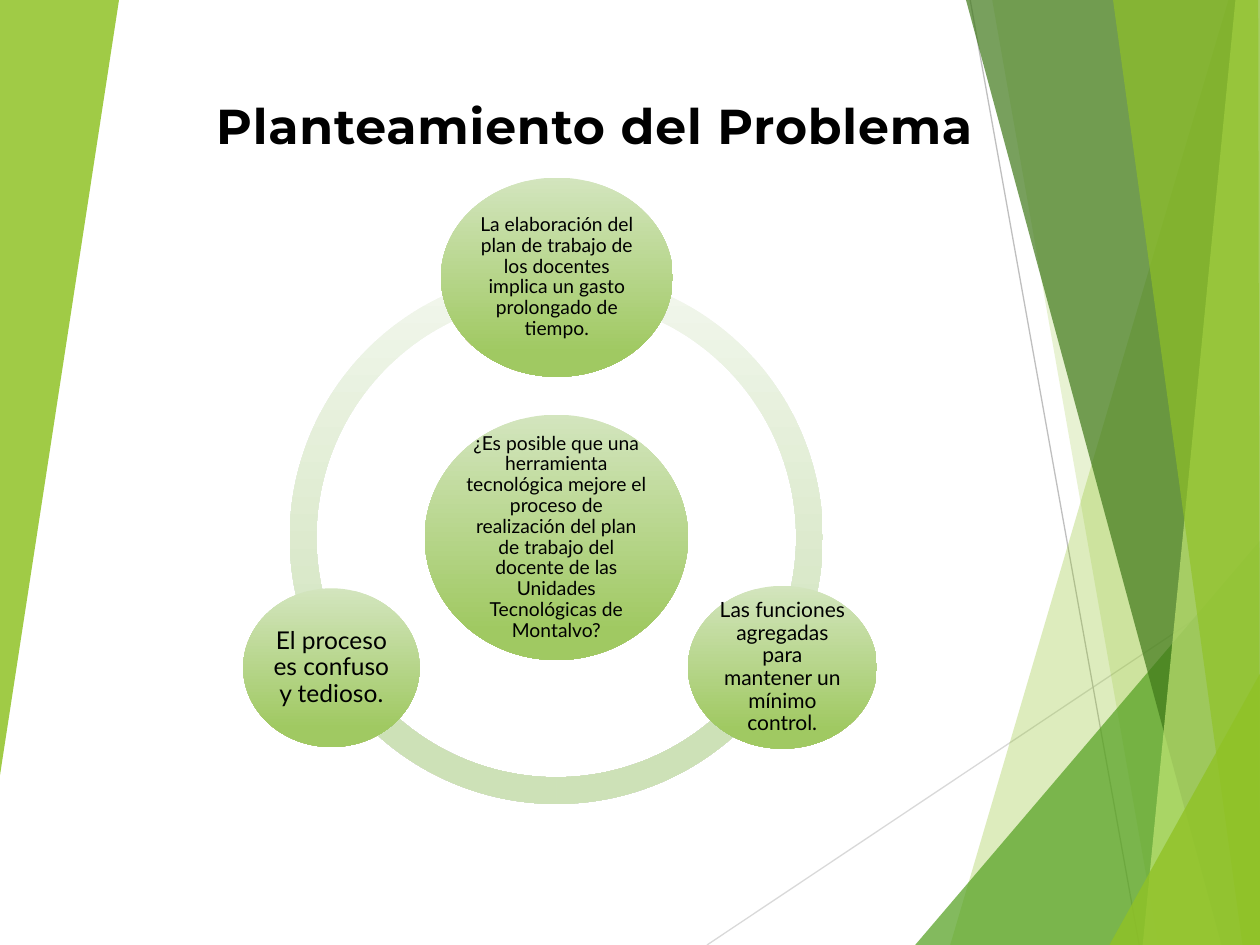
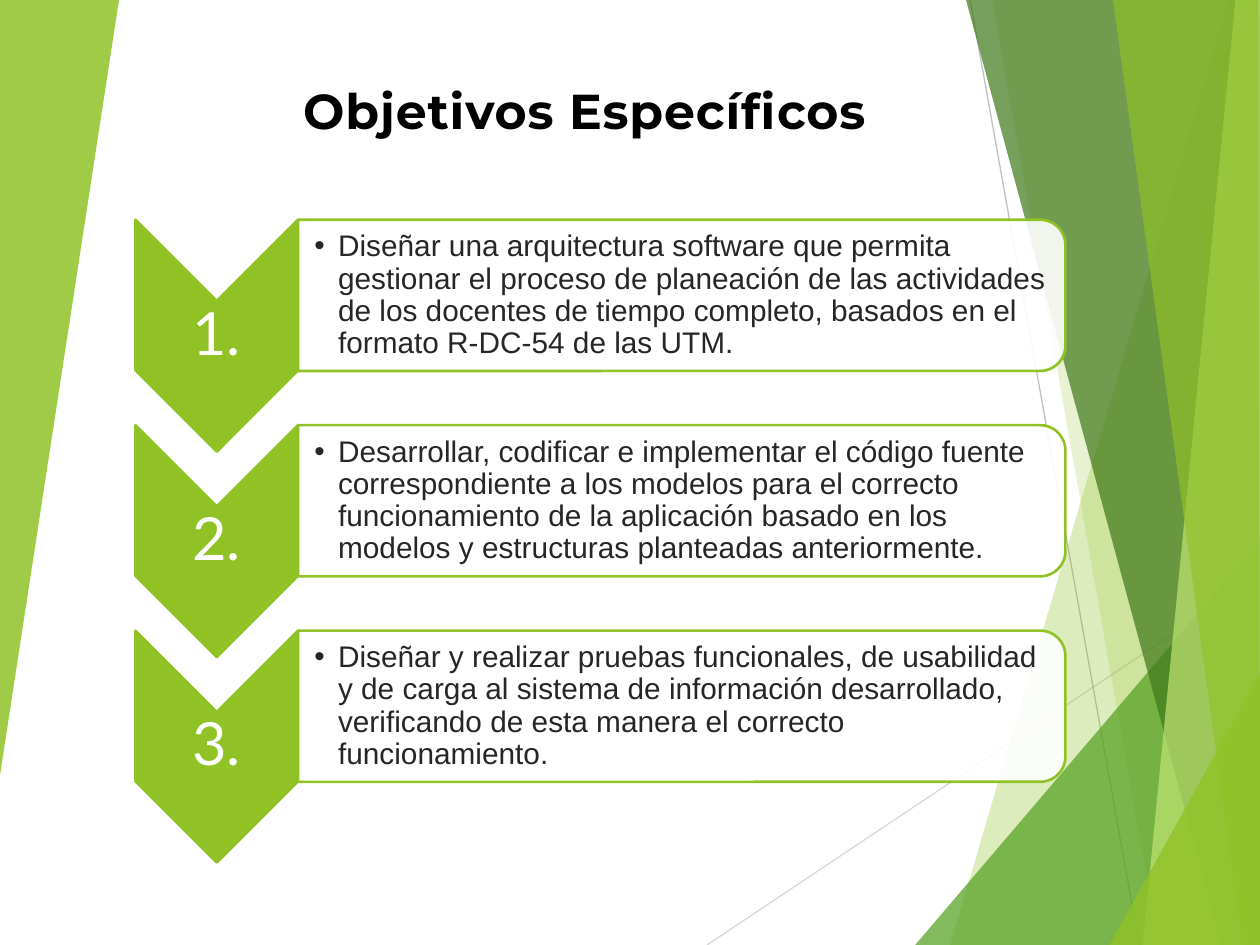
from lxml import etree
from pptx import Presentation
from pptx.dml.color import RGBColor
from pptx.enum.shapes import MSO_CONNECTOR, MSO_SHAPE
from pptx.enum.text import MSO_ANCHOR, MSO_AUTO_SIZE, PP_ALIGN
from pptx.oxml.ns import qn
from pptx.util import Pt

BLACK = RGBColor(0x00, 0x00, 0x00)
WHITE = RGBColor(0xFF, 0xFF, 0xFF)
INK = RGBColor(0x26, 0x26, 0x26)
LIME = RGBColor(0x90, 0xC2, 0x26)
GREEN = RGBColor(0x54, 0xA0, 0x21)
FOREST = RGBColor(0x3F, 0x78, 0x19)
PALE_LIME = RGBColor(0xC0, 0xE4, 0x74)
GREY = RGBColor(0xBF, 0xBF, 0xBF)
LIGHT_GREY = RGBColor(0xD9, 0xD9, 0xD9)
RING = (RGBColor(0xF2, 0xF7, 0xED), RGBColor(0xCD, 0xE1, 0xB7))
BUBBLE = (RGBColor(0xD3, 0xE5, 0xBE), RGBColor(0xA0, 0xC9, 0x62))

W, H = 720, 540

BACK_LINES = [
    ((404, H), (W, 329), LIGHT_GREY),
    ((554.4, 0), (651, H), GREY),
]
BACK_PANELS = [
    ([(702, 0), (543, H), (W, H), (W, 0)], LIME, 30),
    ([(567.4, 0), (661.7, H), (W, H), (W, 0)], LIME, 20),
    ([(522.7, H), (W, 308.9), (W, H)], GREEN, 72),
    ([(552.2, 0), (698.4, H), (W, H), (W, 0)], FOREST, 70),
    ([(706.3, 0), (653, H), (W, H), (W, 0)], PALE_LIME, 70),
    ([(635.8, 0), (710, H), (W, H), (718.6, 0)], LIME, 65),
    ([(634.3, H), (W, 385.2), (W, H)], LIME, 80),
    ([(0, 0), (67.5, 0), (0, 443)], LIME, 85),
]
RING_BOX = (165.6, 154.8, 304.6, 304.6)
RING_ARCS = [(90, 162), (18, 90), (162, 18)]
BUBBLES = [
    ((242.7, 237, 150.5, 140.2), 11,
     "¿Es posible que una herramienta tecnológica mejore el proceso de "
     "realización del plan de trabajo del docente de las Unidades "
     "Tecnológicas de Montalvo?"),
    ((252, 101.5, 132.5, 113.8), 11,
     "La elaboración del plan de trabajo de los docentes implica un gasto "
     "prolongado de tiempo."),
    ((393.1, 334.8, 108, 93), 12,
     "Las funciones agregadas para mantener un mínimo control."),
    ((139, 336.2, 100.8, 90.7), 14, "El proceso es confuso y tedioso."),
]
GOALS = [
    "Diseñar una arquitectura software que permita gestionar el proceso de "
    "planeación de las actividades de los docentes de tiempo completo, "
    "basados en el formato R-DC-54 de las UTM.",
    "Desarrollar, codificar e implementar el código fuente correspondiente "
    "a los modelos para el correcto funcionamiento de la aplicación basado "
    "en los modelos y estructuras planteadas anteriormente.",
    "Diseñar y realizar pruebas funcionales, de usabilidad y de carga al "
    "sistema de información desarrollado, verificando de esta manera el "
    "correcto funcionamiento.",
]
GOAL_TOP, GOAL_PITCH = 125.6, 117.4
CHEVRON_H, CARD_H = 132.5, 86.4


class Deck:
    title_font = {"name": "Montserrat", "size": Pt(28), "bold": True}
    line_width = Pt(1.5)

    def __init__(self):
        self.prs = Presentation()
        self.prs.slide_width, self.prs.slide_height = Pt(W), Pt(H)
        self.layout = self.prs.slide_layouts[5]

    def new_slide(self):
        self.s = self.prs.slides.add_slide(self.layout)

    def to_layout(self, shapes):
        for i, sp in enumerate(shapes):
            sp.element.xpath(".//p:cNvPr")[0].set("id", str(100 + i))
            self.layout.shapes.element.insert(2 + i, sp.element)

    def title(self, text, x, y):
        sp = self.s.shapes.title
        sp.left, sp.top, sp.width, sp.height = map(Pt, (x, y, 493.2, 35.3))
        self.set_text(sp, text, self.title_font, BLACK, spacing=0.8,
                      insets=(7.2, 3.6), anchor=MSO_ANCHOR.TOP)
        sp.text_frame.auto_size = MSO_AUTO_SIZE.SHAPE_TO_FIT_TEXT
        sp.element.xpath(".//a:rPr")[0].set("spc", "50")

    def set_text(self, sp, text, font, color, align=PP_ALIGN.CENTER,
                 spacing=0.9, insets=(1.5, 1.5), anchor=MSO_ANCHOR.MIDDLE):
        tf = sp.text_frame
        frame = {"word_wrap": True, "vertical_anchor": anchor,
                 "margin_left": Pt(insets[0]), "margin_right": Pt(insets[1]),
                 "margin_top": Pt(insets[1]), "margin_bottom": Pt(insets[1])}
        for key, value in frame.items():
            setattr(tf, key, value)
        p = tf.paragraphs[0]
        p.alignment, p.line_spacing = align, spacing
        r = p.add_run()
        r.text = text
        for key, value in font.items():
            setattr(r.font, key, value)
        r.font.color.rgb = color

    def text(self, box, text, font, color, **layout):
        sp = self.s.shapes.add_textbox(*map(Pt, box))
        self.set_text(sp, text, font, color, **layout)
        return sp

    def bullet(self, sp, indent):
        pPr = sp.element.xpath(".//a:pPr")[0]
        pPr.set("marL", str(Pt(indent)))
        pPr.set("indent", str(-Pt(indent)))
        etree.SubElement(pPr, qn("a:buFont")).set("typeface", "Arial")
        etree.SubElement(pPr, qn("a:buChar")).set("char", "•")

    def paint(self, sp, fill, line=None, alpha=100):
        sp.shadow.inherit = False
        if isinstance(fill, tuple) and not isinstance(fill, RGBColor):
            sp.fill.gradient()
            sp.fill.gradient_angle = 270
            stops = zip(sp.fill.gradient_stops, fill, (0, 0.88))
            for stop, color, position in stops:
                stop.color.rgb, stop.position = color, position
        else:
            sp.fill.solid()
            sp.fill.fore_color.rgb = fill
        if alpha < 100:
            clr = sp.element.xpath("./p:spPr/a:solidFill/a:srgbClr")[0]
            etree.SubElement(clr, qn("a:alpha")).set("val", str(alpha * 1000))
        if line is None:
            sp.line.fill.background()
        else:
            sp.line.color.rgb, sp.line.width = line, self.line_width

    def shape(self, kind, box, fill, adjustments=(), **style):
        sp = self.s.shapes.add_shape(kind, *map(Pt, box))
        for i, value in enumerate(adjustments):
            sp.adjustments[i] = value
        self.paint(sp, fill, **style)
        return sp

    def quarter_turned(self, kind, box, fill, **style):
        x, y, w, h = box
        turned = (x + (w - h) / 2, y + (h - w) / 2, h, w)
        self.shape(kind, turned, fill, **style).rotation = 90

    def polygon(self, points, fill, alpha):
        fb = self.s.shapes.build_freeform(*points[0], scale=Pt(1))
        fb.add_line_segments(points[1:], close=True)
        sp = fb.convert_to_shape()
        self.paint(sp, fill, alpha=alpha)
        return sp

    def line(self, start, end, color):
        sp = self.s.shapes.add_connector(
            MSO_CONNECTOR.STRAIGHT, *map(Pt, start + end))
        sp.line.color.rgb, sp.line.width = color, Pt(0.75)
        etree.SubElement(sp.element.spPr, qn("a:effectLst"))
        return sp


def background(deck):
    lines = [deck.line(*line) for line in BACK_LINES]
    panels = [deck.polygon(*panel) for panel in BACK_PANELS]
    deck.to_layout(lines + panels)


def problem(deck):
    deck.title("Planteamiento del Problema", 91.4, 57.6)
    for start, end in RING_ARCS:
        deck.shape(MSO_SHAPE.BLOCK_ARC, RING_BOX, RING,
                   (start * 0.6, end * 0.6, 0.05))
    for box, size, text in BUBBLES:
        sp = deck.shape(MSO_SHAPE.OVAL, box, BUBBLE)
        deck.set_text(sp, text, {"name": "Lato", "size": Pt(size)}, BLACK)


def goals(deck):
    deck.title("Objetivos Específicos", 85.7, 49)
    for i, text in enumerate(GOALS):
        y = GOAL_TOP + i * GOAL_PITCH
        deck.quarter_turned(MSO_SHAPE.CHEVRON, (77.4, y, 92.9, CHEVRON_H),
                            LIME, line=LIME)
        deck.text((77.4, y + (CHEVRON_H - 39.6) / 2, 92.9, 39.6), f"{i + 1}.",
                  {"name": "Lato", "size": Pt(34)}, WHITE)
        deck.quarter_turned(MSO_SHAPE.ROUND_2_SAME_RECTANGLE,
                            (170.3, y, 438.5, CARD_H), WHITE,
                            line=LIME, alpha=90)
        sp = deck.text((170.3, y + (CARD_H - 77.8) / 2, 434.2, 77.8), text,
                       {"name": "Arial", "size": Pt(17)}, INK,
                       align=PP_ALIGN.LEFT, insets=(9.4, 0.8))
        deck.bullet(sp, 13.5)


def main():
    deck = Deck()
    deck.new_slide()
    background(deck)
    problem(deck)
    deck.new_slide()
    goals(deck)
    deck.prs.save("out.pptx")


if __name__ == "__main__":
    main()
